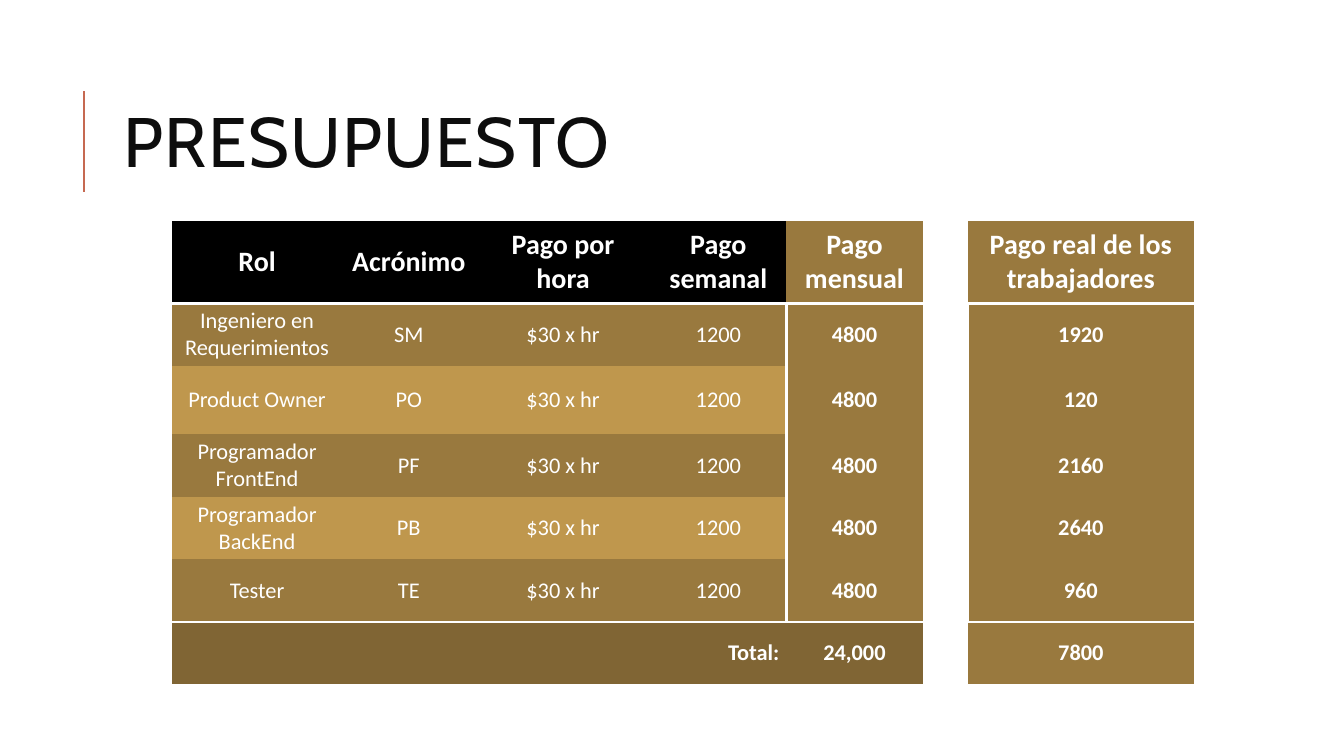
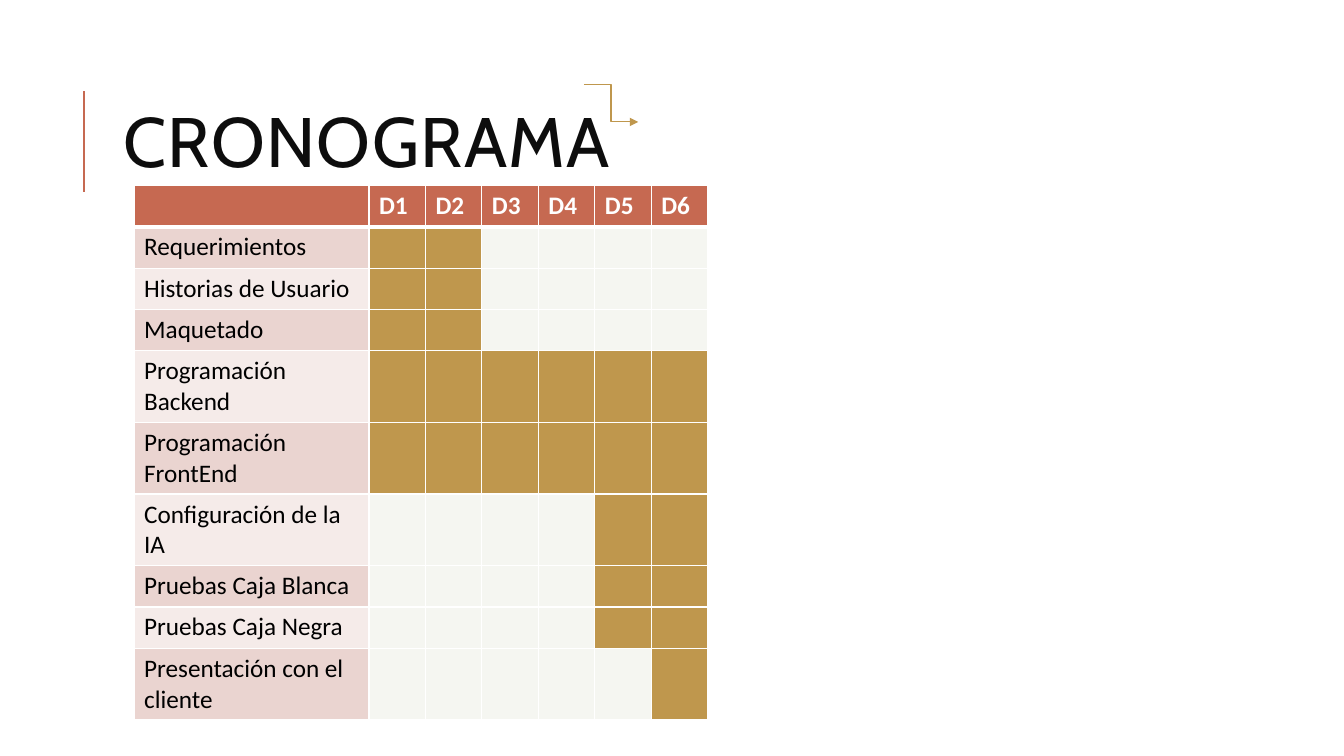
import pptx
import pptx.util
import pptx.dml.color
import pptx.enum.shapes
import pptx.enum.text
import pptx.oxml.ns
import lxml.etree

Inches, Pt = pptx.util.Inches, pptx.util.Pt
ALIGN = pptx.enum.text.PP_ALIGN
ANCHOR = pptx.enum.text.MSO_ANCHOR
LINK = pptx.enum.shapes.MSO_CONNECTOR
HUES = {
    "white": "FFFFFF", "black": "000000", "ink": "0D0D0D", "rust": "C66951",
    "gold": "BF974D", "bronze": "99793E", "brown": "806534",
    "rose": "EAD4D0", "blush": "F5EBE9", "pale": "F5F6F1",
}
PLAIN = "{2D5ABB26-0587-4C30-8999-92F81FD0307C}"


def hue(name):
    """Return the named colour."""
    return pptx.dml.color.RGBColor.from_string(HUES[name])


def put(item, values):
    """Set each attribute in the dict on the item."""
    for name, value in values.items():
        setattr(item, name, value)


def node(parent, tag, **attrs):
    """Append a drawing element to the parent."""
    return lxml.etree.SubElement(parent, pptx.oxml.ns.qn(tag), attrs)


class Deck:
    """Hold the style and the current slide."""

    head = {"size": Pt(20), "bold": True}
    body = {"size": Pt(16), "bold": False}
    strong = {"size": Pt(16), "bold": True}
    label = {"size": Pt(18), "bold": False}
    day = {"size": Pt(18), "bold": True}
    tight = {"margin_left": Inches(0.07), "margin_right": Inches(0.07),
             "margin_top": 0, "margin_bottom": 0}
    middle = {"vertical_anchor": ANCHOR.MIDDLE}

    def __init__(self):
        """Start an empty wide deck."""
        self.show = pptx.Presentation()
        put(self.show, {"slide_width": Inches(13.33), "slide_height": Inches(7.5)})
        self.slide = None

    def page(self, title):
        """Add a slide with its title and side rule."""
        self.slide = self.show.slides.add_slide(self.show.slide_layouts[5])
        self.line(LINK.STRAIGHT, (0.83, 1.9), (0.83, 0.9), "rust", 1.5)
        box = self.slide.shapes.title
        put(box, {"left": Inches(1.12), "top": Inches(0.64),
                  "width": Inches(10.63), "height": Inches(1.64)})
        put(box.text_frame, {"text": title, "word_wrap": True, **self.middle,
                             "auto_size": pptx.enum.text.MSO_AUTO_SIZE.NONE})
        para = box.text_frame.paragraphs[0]
        put(para, {"alignment": ALIGN.LEFT, "line_spacing": 0.8})
        run = para.runs[0]
        put(run.font, {"name": "Cabin", "size": Pt(50)})
        run.font.color.rgb = hue("ink")
        run.font._element.set("spc", "100")

    def line(self, kind, start, end, tint, width, arrow=False):
        """Draw a line, with an arrowhead if asked."""
        ends = [Inches(value) for value in (*start, *end)]
        link = self.slide.shapes.add_connector(kind, *ends)
        link.line.color.rgb = hue(tint)
        link.line.width = Pt(width)
        if arrow:
            node(link.line._get_or_add_ln(), "a:tailEnd", type="triangle")
        node(link._element.spPr, "a:effectLst")

    def grid(self, left, top, cols, rows):
        """Add an unstyled table."""
        sizes = [Inches(value) for value in (left, top, sum(cols), sum(rows))]
        table = self.slide.shapes.add_table(len(rows), len(cols), *sizes).table
        put(table, {"first_row": False, "horz_banding": False})
        table._tbl.tblPr.find(pptx.oxml.ns.qn("a:tableStyleId")).text = PLAIN
        for col, width in zip(table.columns, cols):
            col.width = Inches(width)
        for row, height in zip(table.rows, rows):
            row.height = Inches(height)
        return table

    def cell(self, cell, text, fill, font, tint="white", edges={}, frame={}, para={}):
        """Fill a cell, with white edges given as side and width."""
        put(cell, frame)
        props = cell._tc.get_or_add_tcPr()
        for side in "LRTB":
            if side in edges:
                edge = node(props, "a:ln" + side, w=str(Pt(edges[side])))
                node(node(edge, "a:solidFill"), "a:srgbClr", val=HUES["white"])
        cell.fill.solid()
        cell.fill.fore_color.rgb = hue(fill)
        line = cell.text_frame.paragraphs[0]
        put(line, para)
        face = line.font
        if text:
            run = line.add_run()
            run.text = text
            face = run.font
        put(face, {"name": "Calibri", **font})
        face.color.rgb = hue(tint)

    def pay(self, left, cols, data, foot):
        """Add a pay table with a header and a total row."""
        table = self.grid(left, 2.19, cols, [0.82, 0.62, 0.68] + [0.62] * 4)
        end, last = len(data) - 1, len(cols) - 1
        if last:
            table.cell(end, 0).merge(table.cell(end, last - 1))
        for r, row in enumerate(data):
            for c, text in enumerate(row):
                para = {"alignment": ALIGN.CENTER, "space_after": Pt(4)}
                font, frame, edges = self.strong, {**self.middle, **self.tight}, {}
                if r == 0:
                    fill = "bronze" if c == last else "black"
                    font, frame, edges = self.head, self.middle, {"B": 2}
                    para["space_after"] = Pt(0)
                elif r == end:
                    fill, edges = foot, {"T": 2}
                    if c < last:
                        para["alignment"] = ALIGN.RIGHT
                elif c == last:
                    fill, edges = "bronze", {"L": 2}
                else:
                    fill, font = ("bronze" if r % 2 else "gold"), self.body
                self.cell(table.cell(r, c), text, fill, font,
                          edges=edges, frame=frame, para=para)

    def plan(self, tasks, days):
        """Add a day chart of tasks given as name, first day and last day."""
        rows = [0.41] + [0.71 if tall else 0.41 for *_, tall in tasks]
        table = self.grid(1.33, 1.84, [2.33] + [0.56] * days, rows)
        thin = dict.fromkeys("LRTB", 1)
        for c in range(days + 1):
            self.cell(table.cell(0, c), f"D{c}" if c else "", "rust", self.day,
                      edges={**thin, "B": 3})
        for r, (name, first, final, _) in enumerate(tasks, 1):
            edges = {**thin, "T": 3} if r == 1 else thin
            self.cell(table.cell(r, 0), name, "rose" if r % 2 else "blush",
                      self.label, "black", edges)
            for c in range(1, days + 1):
                fill = "gold" if first <= c <= final else "pale"
                self.cell(table.cell(r, c), "", fill, self.label, edges=edges)


deck = Deck()

deck.page("PRESUPUESTO")
roles = [("Ingeniero en Requerimientos", "SM"), ("Product Owner", "PO"),
         ("Programador FrontEnd", "PF"), ("Programador BackEnd", "PB"),
         ("Tester", "TE")]
budget = [("Rol", "Acrónimo", "Pago por hora", "Pago semanal", "Pago mensual")]
budget += [(*role, "$30 x hr", "1200", "4800") for role in roles]
budget += [("Total:", "", "", "", "24,000")]
deck.pay(1.71, [1.68, 1.33, 1.73, 1.35, 1.35], budget, "brown")
real = ["Pago real de los trabajadores", "1920", "120", "2160", "2640", "960", "7800"]
deck.pay(9.6, [2.24], [(text,) for text in real], "bronze")

deck.page("CRONOGRAMA")
deck.plan([
    ("Requerimientos", 1, 2, False),
    ("Historias de Usuario", 1, 2, False),
    ("Maquetado", 1, 2, False),
    ("Programación Backend", 1, 6, True),
    ("Programación FrontEnd", 1, 6, True),
    ("Configuración de la IA", 5, 6, True),
    ("Pruebas Caja Blanca", 5, 6, False),
    ("Pruebas Caja Negra", 5, 6, False),
    ("Presentación con el cliente", 6, 6, True),
], 6)
deck.line(LINK.ELBOW, (5.79, 0.84), (6.33, 1.21), "gold", 0.75, arrow=True)

deck.show.save("out.pptx")
